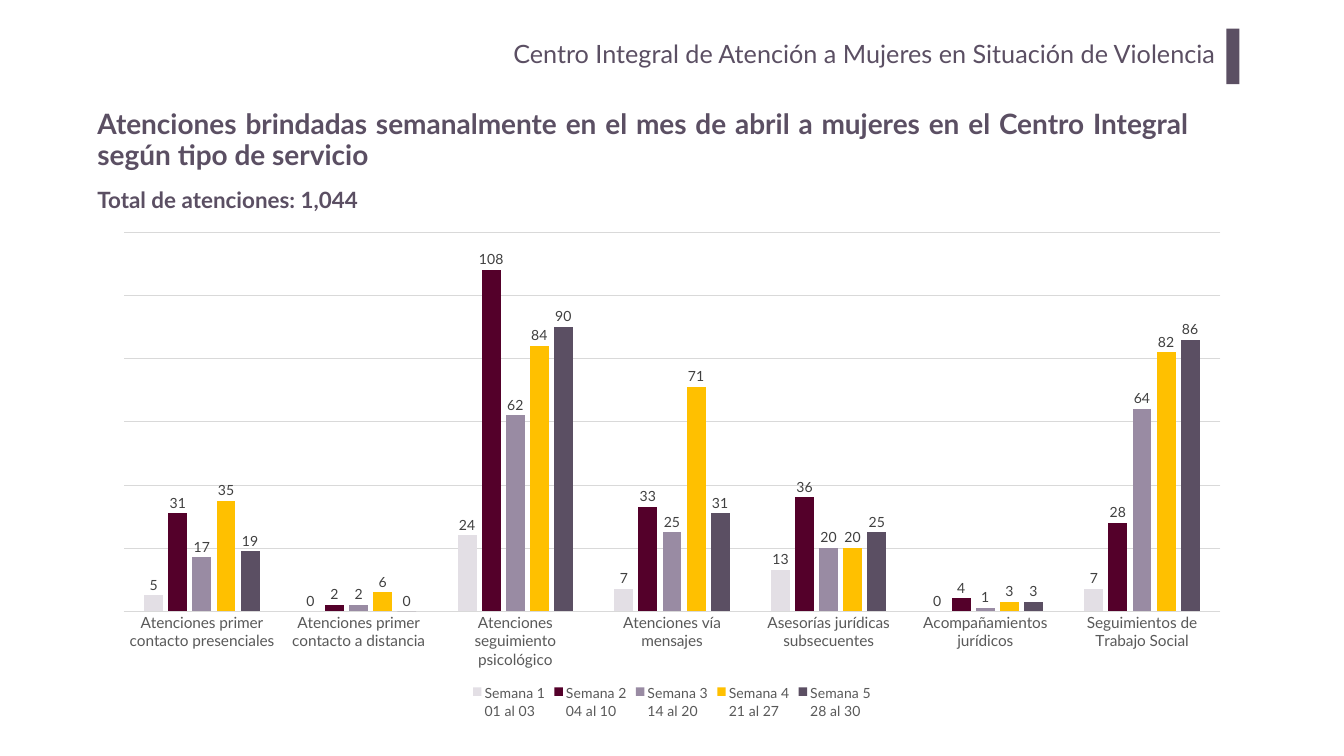
from pptx import Presentation
from pptx.chart import data
from pptx.dml.color import RGBColor
from pptx.enum import chart as ch, shapes, text
from pptx.util import Pt

THEME = {
    "font": "Lato",
    "plum": RGBColor.from_string("5B4F63"),
    "axis_text": RGBColor.from_string("595959"),
    "label_text": RGBColor.from_string("404040"),
    "grid": RGBColor.from_string("D9D9D9"),
    "weeks": ["E3DFE5", "54002A", "998BA3", "FFC000", "5B4F63"],
    "header": Pt(36),
    "title": Pt(40),
    "total": Pt(32),
    "category": Pt(22),
    "small": Pt(20),
}


def apply(target, formats):
    for name, value in formats.items():
        setattr(target, name, value)


def style_font(font, size, color, bold=False):
    apply(font, {"name": THEME["font"], "size": THEME[size], "bold": bold})
    font.color.rgb = THEME[color]


prs = Presentation()
apply(prs, {"slide_width": Pt(1920), "slide_height": Pt(1080)})
slide = prs.slides.add_slide(prs.slide_layouts[5])

title = slide.shapes.title
apply(title, {"left": Pt(132), "top": Pt(149), "width": Pt(1573), "height": Pt(104.5)})
header = slide.shapes.add_textbox(Pt(288.7), Pt(48.2), Pt(1461.6), Pt(73.4))
total = slide.shapes.add_textbox(Pt(132), Pt(262.8), Pt(406), Pt(46))

texts = [
    (header, "Centro Integral de Atención a Mujeres en Situación de Violencia",
     "header", False,
     {"margin_left": Pt(14.4), "margin_right": Pt(14.4),
      "margin_top": Pt(7.2), "margin_bottom": Pt(7.2)},
     {"alignment": text.PP_ALIGN.RIGHT}),
    (title, "Atenciones brindadas semanalmente en el mes de abril a mujeres "
     "en el Centro Integral según tipo de servicio",
     "title", True,
     {"vertical_anchor": text.MSO_ANCHOR.MIDDLE, "auto_size": text.MSO_AUTO_SIZE.NONE},
     {"alignment": text.PP_ALIGN.JUSTIFY, "line_spacing": 0.9}),
    (total, "Total de atenciones: 1,044", "total", True,
     {"auto_size": text.MSO_AUTO_SIZE.SHAPE_TO_FIT_TEXT},
     {"alignment": text.PP_ALIGN.LEFT}),
]
for box, words, size, bold, frame_formats, paragraph_formats in texts:
    frame = box.text_frame
    frame.text = words
    apply(frame, {"word_wrap": True, **frame_formats})
    apply(frame.paragraphs[0], paragraph_formats)
    style_font(frame.paragraphs[0].runs[0].font, size, "plum", bold)

accent = slide.shapes.add_shape(
    shapes.MSO_SHAPE.RECTANGLE, Pt(1751.8), Pt(41), Pt(18.7), Pt(79.2))
accent.shadow.inherit = False
accent.fill.solid()
accent.fill.fore_color.rgb = THEME["plum"]
accent.line.fill.background()

services = data.CategoryChartData()
services.categories = [
    "Atenciones primer contacto presenciales",
    "Atenciones primer contacto a distancia",
    "Atenciones seguimiento psicológico",
    "Atenciones vía mensajes",
    "Asesorías jurídicas subsecuentes",
    "Acompañamientos jurídicos",
    "Seguimientos de Trabajo Social",
]
weeks = [
    ("01 al 03", [5, 0, 24, 7, 13, 0, 7]),
    ("04 al 10", [31, 2, 108, 33, 36, 4, 28]),
    ("14 al 20", [17, 2, 62, 25, 20, 1, 64]),
    ("21 al 27", [35, 6, 84, 71, 20, 3, 82]),
    ("28 al 30", [19, 0, 90, 31, 25, 3, 86]),
]
for number, (days, counts) in enumerate(weeks, 1):
    services.add_series(f"Semana {number}\n{days}", counts)

attention = slide.shapes.add_chart(
    ch.XL_CHART_TYPE.COLUMN_CLUSTERED,
    Pt(144), Pt(317.5), Pt(1632), Pt(714.2), services).chart
apply(attention, {"has_title": False, "has_legend": True})
style_font(attention.font, "small", "axis_text")
apply(attention.legend,
      {"position": ch.XL_LEGEND_POSITION.BOTTOM, "include_in_layout": False})
style_font(attention.legend.font, "small", "axis_text")

service_axis = attention.category_axis
apply(service_axis, {"major_tick_mark": ch.XL_TICK_MARK.NONE,
                     "minor_tick_mark": ch.XL_TICK_MARK.NONE})
style_font(service_axis.tick_labels.font, "category", "axis_text")
count_axis = attention.value_axis
apply(count_axis, {"visible": False, "minimum_scale": 0, "maximum_scale": 120,
                   "major_unit": 20, "has_major_gridlines": True})
for line in (service_axis.format.line, count_axis.major_gridlines.format.line):
    line.color.rgb = THEME["grid"]
    line.width = Pt(0.75)

columns = attention.plots[0]
apply(columns, {"gap_width": 219, "overlap": -27, "vary_by_categories": False})
for week, color in zip(columns.series, THEME["weeks"]):
    week.format.fill.solid()
    week.format.fill.fore_color.rgb = RGBColor.from_string(color)
    apply(week.data_labels, {"show_value": True,
                             "position": ch.XL_LABEL_POSITION.OUTSIDE_END})
    style_font(week.data_labels.font, "small", "label_text")

prs.save("out.pptx")
